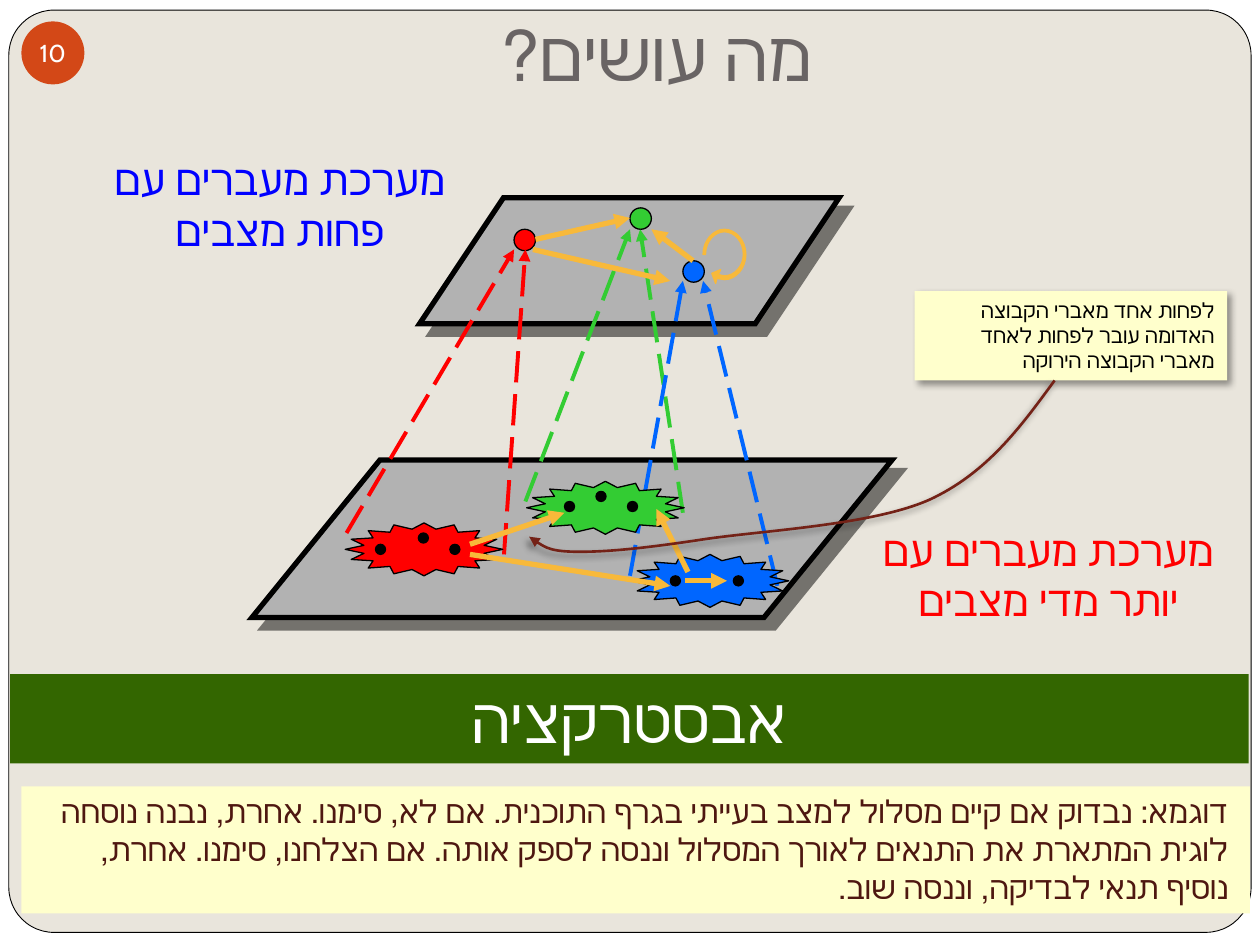
from lxml.etree import SubElement
from pptx import Presentation
from pptx.dml.color import RGBColor
from pptx.enum.dml import MSO_LINE
from pptx.enum.shapes import MSO_CONNECTOR, MSO_SHAPE
from pptx.enum.text import MSO_ANCHOR, PP_ALIGN
from pptx.oxml.ns import qn
from pptx.util import Inches, Pt

hex_color = RGBColor.from_string


def paint(shape, fill=None, line=None, width=0.75, shadow=None, arrow=False, dashed=False, miter=False):
    if fill:
        shape.fill.solid()
        shape.fill.fore_color.rgb = hex_color(fill)
    elif hasattr(shape, "fill"):
        shape.fill.background()
    if line:
        shape.line.color.rgb = hex_color(line)
        shape.line.width = Pt(width)
        if dashed:
            shape.line.dash_style = MSO_LINE.LONG_DASH
        if miter:
            SubElement(shape.line._get_or_add_ln(), qn("a:miter"), lim="800000")
        if arrow:
            SubElement(shape.line._get_or_add_ln(), qn("a:tailEnd"), type="triangle")
    else:
        shape.line.fill.background()
    effects = SubElement(shape._element.spPr, qn("a:effectLst"))
    if shadow:
        opacity, blur, distance, angle = shadow
        outer = SubElement(effects, qn("a:outerShdw"), blurRad=str(Pt(blur)), dist=str(Pt(distance)),
                           dir=str(angle * 60000), algn="tl", rotWithShape="0")
        black = SubElement(outer, qn("a:srgbClr"), val="000000")
        SubElement(black, qn("a:alpha"), val=str(opacity * 1000))


def write(shape, text, size, color, font="Calibri", align=PP_ALIGN.CENTER, anchor=MSO_ANCHOR.TOP,
          rtl=True, wrap=True, insets=(0.1, 0.05, 0.1, 0.05), indent=0):
    frame = shape.text_frame
    frame.word_wrap = wrap
    frame.vertical_anchor = anchor
    frame.margin_left, frame.margin_top, frame.margin_right, frame.margin_bottom = map(Inches, insets)
    paragraph = frame.paragraphs[0]
    paragraph.alignment = align
    properties = paragraph._p.get_or_add_pPr()
    if rtl:
        properties.set("rtl", "1")
    if indent:
        properties.set("marL", str(Inches(indent)))
    run = paragraph.add_run()
    run.text = text
    run.font.size = Pt(size)
    run.font.name = font
    run.font.color.rgb = hex_color(color)


presentation = Presentation()
presentation.slide_width = Inches(10)
presentation.slide_height = Inches(7.5)
slide = presentation.slides.add_slide(presentation.slide_layouts[6])
slide.background.fill.solid()
slide.background.fill.fore_color.rgb = hex_color("FFFFFF")
shapes = slide.shapes

RED, GREEN, BLUE, ORANGE = "FF0000", "33CC33", "0066FF", "F8B93A"

panel = shapes.add_shape(MSO_SHAPE.ROUNDED_RECTANGLE, Inches(0.07), Inches(0.08), Inches(9.86), Inches(7.32))
panel.adjustments[0] = 0.049
paint(panel, "E9E5DC", "000000", 0.5)

title = shapes.add_textbox(Inches(0.96), Inches(-0.39), Inches(8.5), Inches(1.25))
write(title, "מה עושים?", 40, "696464", anchor=MSO_ANCHOR.BOTTOM, insets=(0.1, 0.05, 0.1, 0.1))

page_number = shapes.add_shape(MSO_SHAPE.OVAL, Inches(0.17), Inches(0.17), Inches(0.5), Inches(0.5))
paint(page_number, "D34817")
write(page_number, "10", 14, "FFFFFF", font="Cabin", anchor=MSO_ANCHOR.MIDDLE, rtl=False, wrap=False,
      insets=(0, 0, 0, 0))

for left, top, width, height in [(2, 3.65, 5.08, 1.25), (3.33, 1.57, 3.33, 1)]:
    plate = shapes.add_shape(MSO_SHAPE.FLOWCHART_DATA, Inches(left), Inches(top), Inches(width), Inches(height))
    paint(plate, "B2B2B2", "000000", 3, (50, 0, 8.5, 45), miter=True)

for left, top, width, label, color, rtl in [
    (6.82, 4.11, 3, "מערכת מעברים עם יותר מדי מצבים", RED, False),
    (0.52, 1.17, 3.4, "מערכת מעברים עם פחות מצבים", "0000FF", True),
]:
    system_label = shapes.add_textbox(Inches(left), Inches(top), Inches(width), Inches(0.91))
    write(system_label, label, 24, color, rtl=rtl)

for left, top, color in [(5.42, 2.07, BLUE), (4.08, 1.82, RED), (5, 1.65, GREEN)]:
    state = shapes.add_shape(MSO_SHAPE.OVAL, Inches(left), Inches(top), Inches(0.17), Inches(0.17))
    paint(state, color, "000000")

for start_x, start_y, end_x, end_y, color in [
    (2.75, 4.23, 4.08, 1.98, RED),
    (4, 4.4, 4.17, 1.98, RED),
    (4.17, 3.98, 5, 1.82, GREEN),
    (5.42, 4.07, 5.08, 1.82, GREEN),
    (5, 4.57, 5.42, 2.23, BLUE),
    (6.17, 4.65, 5.58, 2.23, BLUE),
]:
    mapping = shapes.add_connector(MSO_CONNECTOR.STRAIGHT, Inches(start_x), Inches(start_y),
                                   Inches(end_x), Inches(end_y))
    paint(mapping, line=color, width=2.25, arrow=True, dashed=True)

for left, top, color in [(4.18, 3.82, GREEN), (5.01, 4.4, BLUE), (2.74, 4.15, RED)]:
    cluster = shapes.add_shape(MSO_SHAPE.STAR_16_POINT, Inches(left), Inches(top), Inches(1.25), Inches(0.42))
    cluster.adjustments[0] = 0.389
    paint(cluster, color, "000000")

for left, top in [(3.57, 4.32), (3.32, 4.23), (2.98, 4.32), (4.48, 3.98), (4.73, 3.9), (4.98, 3.98),
                  (5.32, 4.57), (5.82, 4.57)]:
    member = shapes.add_shape(MSO_SHAPE.OVAL, Inches(left), Inches(top), Inches(0.08), Inches(0.08))
    paint(member, "000000", "000000")

for start_x, start_y, end_x, end_y in [
    (4.25, 1.9, 5, 1.73),
    (3.73, 4.32, 4.48, 4.07),
    (5.44, 4.61, 5.77, 4.61),
    (5.5, 2.07, 5.17, 1.82),
    (5.46, 4.54, 5.21, 4.04),
    (4.23, 1.98, 5.32, 2.23),
    (3.73, 4.4, 5.32, 4.65),
]:
    transition = shapes.add_connector(MSO_CONNECTOR.STRAIGHT, Inches(start_x), Inches(start_y),
                                      Inches(end_x), Inches(end_y))
    paint(transition, line=ORANGE, width=3, arrow=True)

banner = shapes.add_shape(MSO_SHAPE.RECTANGLE, Inches(0.08), Inches(5.35), Inches(9.83), Inches(0.71))
paint(banner, "336600")
write(banner, "אבסטרקציה", 36, "FFFFFF")

remark = shapes.add_shape(MSO_SHAPE.RECTANGLE, Inches(7.26), Inches(2.31), Inches(2.48), Inches(0.71))
paint(remark, "FFFFCC", shadow=(40, 4, 3, 45))
write(remark, "לפחות אחד מאברי הקבוצה האדומה עובר לפחות לאחד מאברי הקבוצה הירוקה", 12, "000000",
      align=PP_ALIGN.RIGHT)

loop_points = [
    (5.7, 2.18), (5.72, 2.19), (5.73, 2.19), (5.75, 2.19), (5.83, 2.19), (5.9, 2.11), (5.9, 2.02),
    (5.9, 1.92), (5.83, 1.84), (5.75, 1.84), (5.67, 1.84), (5.6, 1.92), (5.6, 2.02), (5.58, 2.02),
    (5.58, 1.91), (5.66, 1.82), (5.75, 1.82), (5.84, 1.82), (5.92, 1.91), (5.92, 2.02),
    (5.92, 2.13), (5.84, 2.22), (5.75, 2.22), (5.73, 2.22), (5.71, 2.21), (5.69, 2.21),
    (5.68, 2.25), (5.65, 2.17), (5.72, 2.14),
]
pointer_points = [
    (8.37, 3.02), (8.1, 3.39), (7.83, 3.76), (7.37, 3.97), (6.91, 4.17), (6.06, 4.21), (5.59, 4.28),
    (5.13, 4.35), (4.84, 4.38), (4.6, 4.38), (4.37, 4.38), (4.28, 4.32), (4.2, 4.26),
]
loop_look = {"fill": ORANGE, "line": ORANGE}
pointer_look = {"line": "742217", "width": 1.5, "shadow": (40, 4, 3, 135), "arrow": True}
for points, curve_starts, closed, look in [
    (loop_points, [0, 3, 6, 9, 13, 16, 19, 22], True, loop_look),
    (pointer_points, [0, 3, 6, 9], False, pointer_look),
]:
    builder = shapes.build_freeform(*map(Inches, points[0]), scale=1.0)
    builder.add_line_segments([(Inches(x), Inches(y)) for x, y in points[1:]], close=closed)
    curved_arrow = builder.convert_to_shape()
    segments = list(curved_arrow._element.spPr.iter(qn("a:lnTo")))
    for start in curve_starts:
        first, second, third = segments[start:start + 3]
        first.tag = qn("a:cubicBezTo")
        for segment in (second, third):
            first.append(segment[0])
            segment.getparent().remove(segment)
    paint(curved_arrow, **look)

example = shapes.add_shape(MSO_SHAPE.RECTANGLE, Inches(0.17), Inches(6.24), Inches(9.75), Inches(1.01))
paint(example, "FFFFCC")
write(example, "דוגמא: נבדוק אם קיים מסלול למצב בעייתי בגרף התוכנית. אם לא, סימנו. אחרת, נבנה נוסחה "
      "לוגית המתארת את התנאים לאורך המסלול וננסה לספק אותה. אם הצלחנו, סימנו. אחרת, "
      "נוסיף תנאי לבדיקה, וננסה שוב.", 18, "4E1710", align=PP_ALIGN.RIGHT, indent=0.07)

presentation.save("out.pptx")
